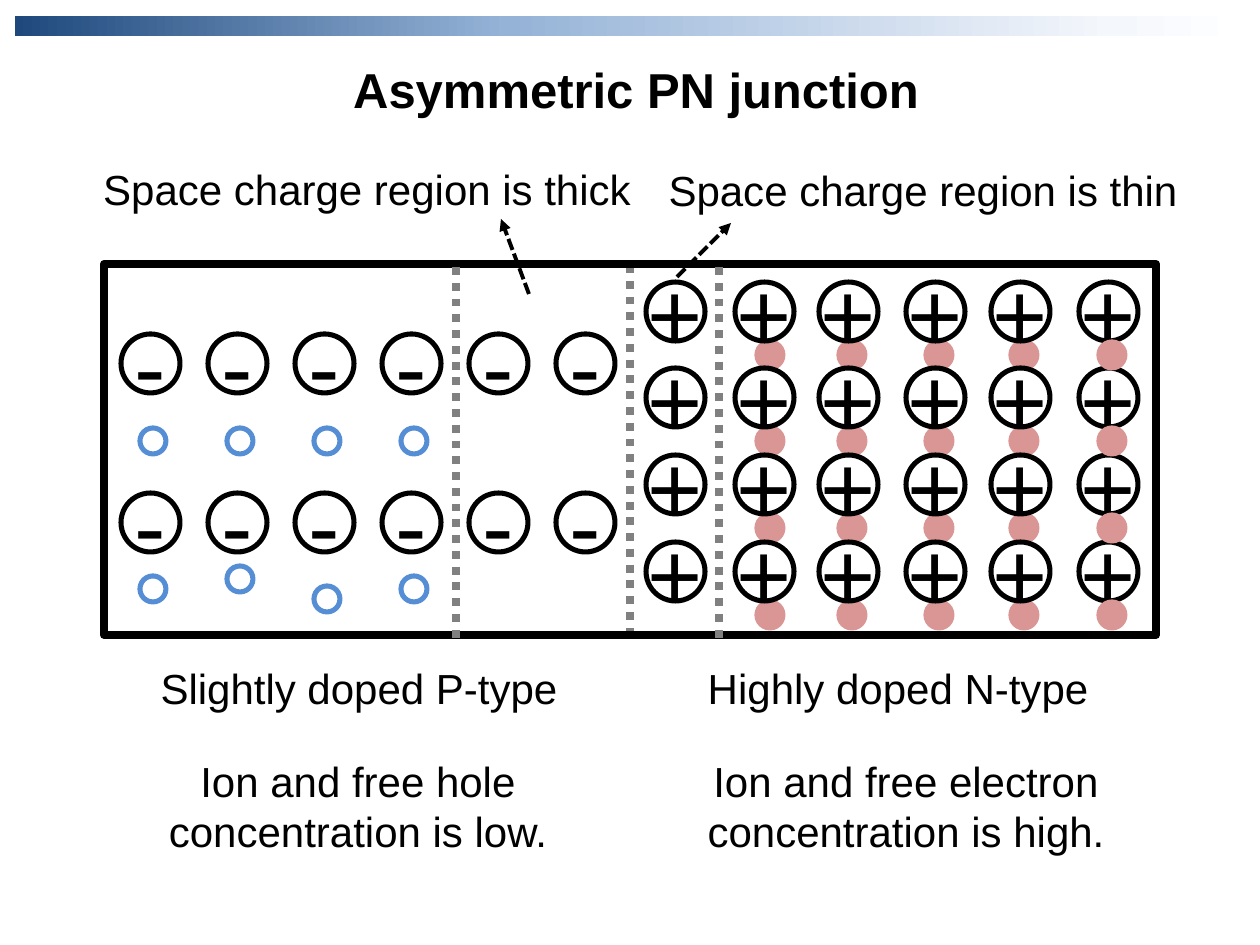
from lxml import etree
from pptx import Presentation
from pptx import util as u
from pptx.dml.color import RGBColor
from pptx.enum import dml, shapes, text
from pptx.oxml.ns import qn

EMU_PER_PX = 914400 / 126
BLACK = RGBColor(0, 0, 0)
WHITE = RGBColor(255, 255, 255)
GREY = RGBColor(0x80, 0x80, 0x80)
ELECTRON = RGBColor(0xD9, 0x96, 0x94)
HOLE = RGBColor(0x55, 0x8E, 0xD5)
BAR_STOPS = [(0, RGBColor(0x1F, 0x49, 0x7D)), (40, RGBColor(0x95, 0xB3, 0xD7)),
             (89, RGBColor(0xF4, 0xF7, 0xFC)), (100, WHITE)]

ION_SIZE, CARRIER_SIZE = 59, 26
P_COLUMNS = [121 + 87 * i for i in range(6)]
P_ROWS = [334, 493]
N_COLUMNS = [646, 735, 819, 906, 991, 1079]
N_ROWS = [282 + 260 * i // 3 for i in range(4)]
ELECTRON_COLUMNS = [757, 839, 926, 1011, 1099]
HOLE_COLUMNS = [140 + 87 * i for i in range(4)]
LOWER_HOLES = [576, 566, 586, 576]

LABELS = [
    ("Slightly doped P-type", 121, 656, 476, 63),
    ("Highly doped N-type", 660, 656, 476, 63),
    ("Space charge region is thick", 74, 157, 586, 63),
    ("Space charge region is thin", 630, 158, 586, 63),
    ("Ion and free hole concentration is low.", 120, 749, 476, 115),
    ("Ion and free electron concentration is high.", 668, 749, 476, 115),
]


def px(*lengths):
    return [u.Emu(round(n * EMU_PER_PX)) for n in lengths]


def write(sp, words, size, bold=False):
    p = sp.text_frame.paragraphs[0]
    p.alignment = text.PP_ALIGN.CENTER
    r = p.add_run()
    r.text = words
    for name, value in dict(name="Arial", size=u.Pt(size), bold=bold).items():
        setattr(r.font, name, value)
    r.font.color.rgb = BLACK


def add_outline(s, kind, box, color, width, fill=None):
    sp = s.shapes.add_shape(kind, *px(*box))
    sp.shadow.inherit = False
    if fill is None:
        sp.fill.background()
    else:
        sp.fill.solid()
        sp.fill.fore_color.rgb = fill
    sp.line.color.rgb = color
    sp.line.width = u.Pt(width)
    return sp


def add_ion(s, x, y, sign):
    sp = add_outline(s, shapes.MSO_SHAPE.OVAL, (x, y, ION_SIZE, ION_SIZE), BLACK, 2.88)
    sp.text_frame.word_wrap = False
    sp.text_frame.vertical_anchor = text.MSO_ANCHOR.MIDDLE
    write(sp, sign, 54)


def add_carrier(s, x, y, color, fill):
    """Draw a free hole or a free electron."""
    add_outline(s, shapes.MSO_SHAPE.OVAL, (x, y, CARRIER_SIZE, CARRIER_SIZE), color, 2.88, fill)


def add_dashed_line(s, ends, color, width, dash, arrow=False):
    line = s.shapes.add_connector(shapes.MSO_CONNECTOR.STRAIGHT, *px(*ends))
    line.line.color.rgb = color
    line.line.width = u.Pt(width)
    line.line.dash_style = dash
    spPr = line._element.spPr
    if arrow:
        etree.SubElement(spPr.find(qn("a:ln")), qn("a:tailEnd"), type="triangle")
    etree.SubElement(spPr, qn("a:effectLst"))


def add_gradient_bar(s):
    sp = s.shapes.add_shape(shapes.MSO_SHAPE.RECTANGLE, *px(15, 16, 1230, 20))
    sp.shadow.inherit = False
    sp.line.fill.background()
    sp.fill.gradient()
    sp.fill.gradient_angle = 0
    stops = sp._element.spPr.find(qn("a:gradFill")).find(qn("a:gsLst"))
    for gs in list(stops):
        stops.remove(gs)
    for percent, color in BAR_STOPS:
        gs = etree.SubElement(stops, qn("a:gs"), pos=str(percent * 1000))
        etree.SubElement(gs, qn("a:srgbClr"), val=str(color))


def add_title(s):
    sp = s.shapes.title
    sp.left, sp.top, sp.width, sp.height = px(292, 53, 688, 72)
    sp.text_frame.auto_size = text.MSO_AUTO_SIZE.NONE
    sp.text_frame.vertical_anchor = text.MSO_ANCHOR.TOP
    write(sp, "Asymmetric PN junction", 28, bold=True)


def add_label(s, words, *box):
    sp = s.shapes.add_textbox(*px(*box))
    sp.text_frame.word_wrap = True
    write(sp, words, 24)


def add_electrons(s, columns):
    for x in columns:
        for y in N_ROWS:
            add_carrier(s, x, y + 60, ELECTRON, ELECTRON)


def add_particles(s):
    for x in P_COLUMNS:
        for y in P_ROWS:
            add_ion(s, x, y, "-")
    add_electrons(s, ELECTRON_COLUMNS[:-1])
    for x in N_COLUMNS:
        for y in N_ROWS:
            add_ion(s, x, y, "+")
    add_electrons(s, ELECTRON_COLUMNS[-1:])
    for x, lower in zip(HOLE_COLUMNS, LOWER_HOLES):
        for y in (428, lower):
            add_carrier(s, x, y, HOLE, WHITE)


def main():
    prs = Presentation()
    prs.slide_width, prs.slide_height = px(1260, 945)
    s = prs.slides.add_slide(prs.slide_layouts[5])
    add_title(s)
    add_gradient_bar(s)
    add_particles(s)
    dot, dash = dml.MSO_LINE.ROUND_DOT, dml.MSO_LINE.SQUARE_DOT
    add_dashed_line(s, (630, 265, 630, 635), GREY, 4.5, dot)
    add_outline(s, shapes.MSO_SHAPE.RECTANGLE, (104, 264, 1052, 371), BLACK, 4.5)
    for x in (456, 719):
        add_dashed_line(s, (x, 267, x, 639), GREY, 4.5, dot)
    for ends in ((529, 294, 501, 219), (677, 277, 731, 223)):
        add_dashed_line(s, ends, BLACK, 2.25, dash, arrow=True)
    for label in LABELS:
        add_label(s, *label)
    prs.save("out.pptx")


if __name__ == "__main__":
    main()
